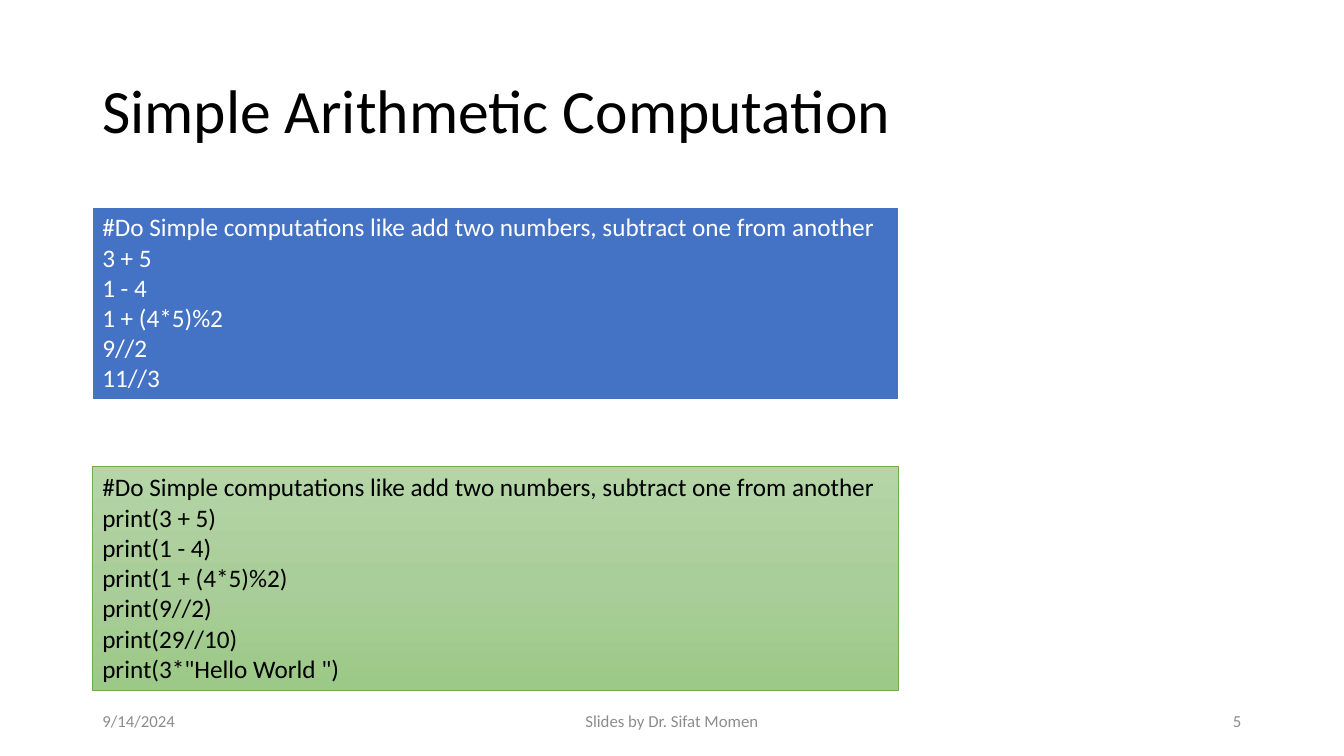
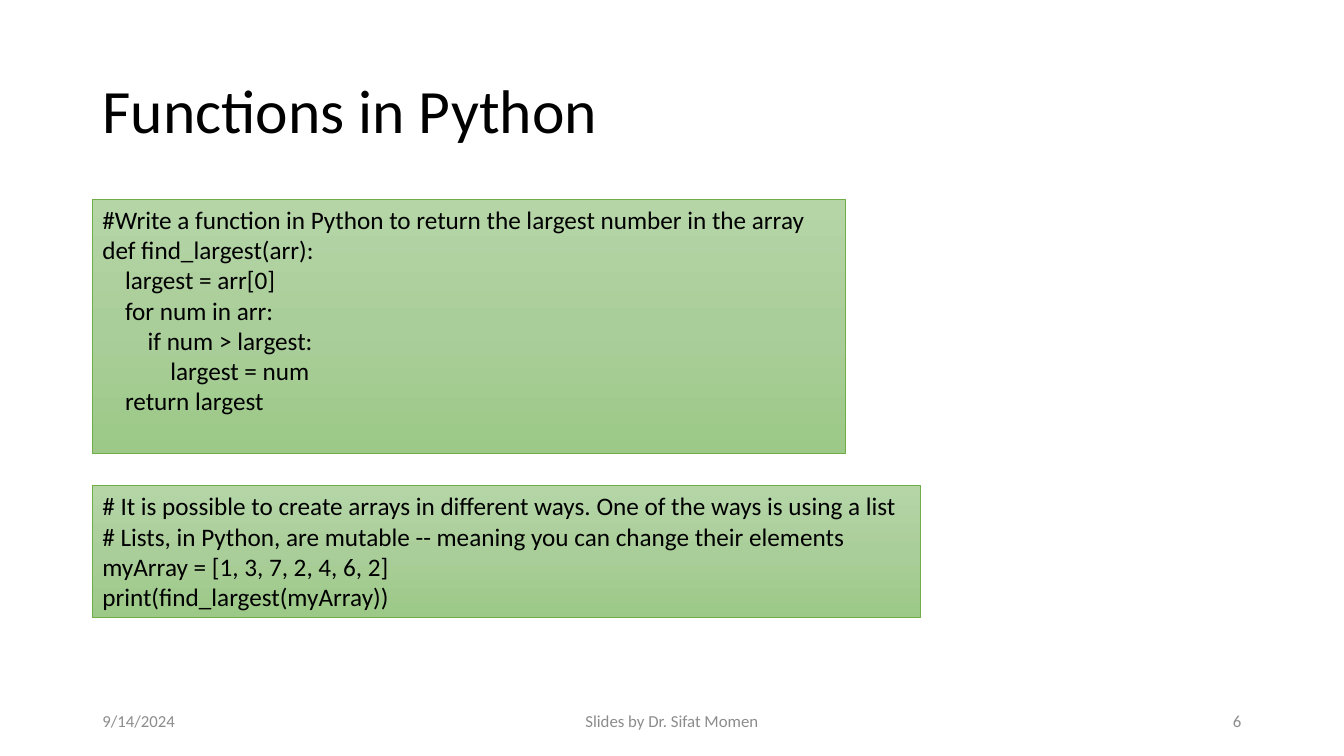
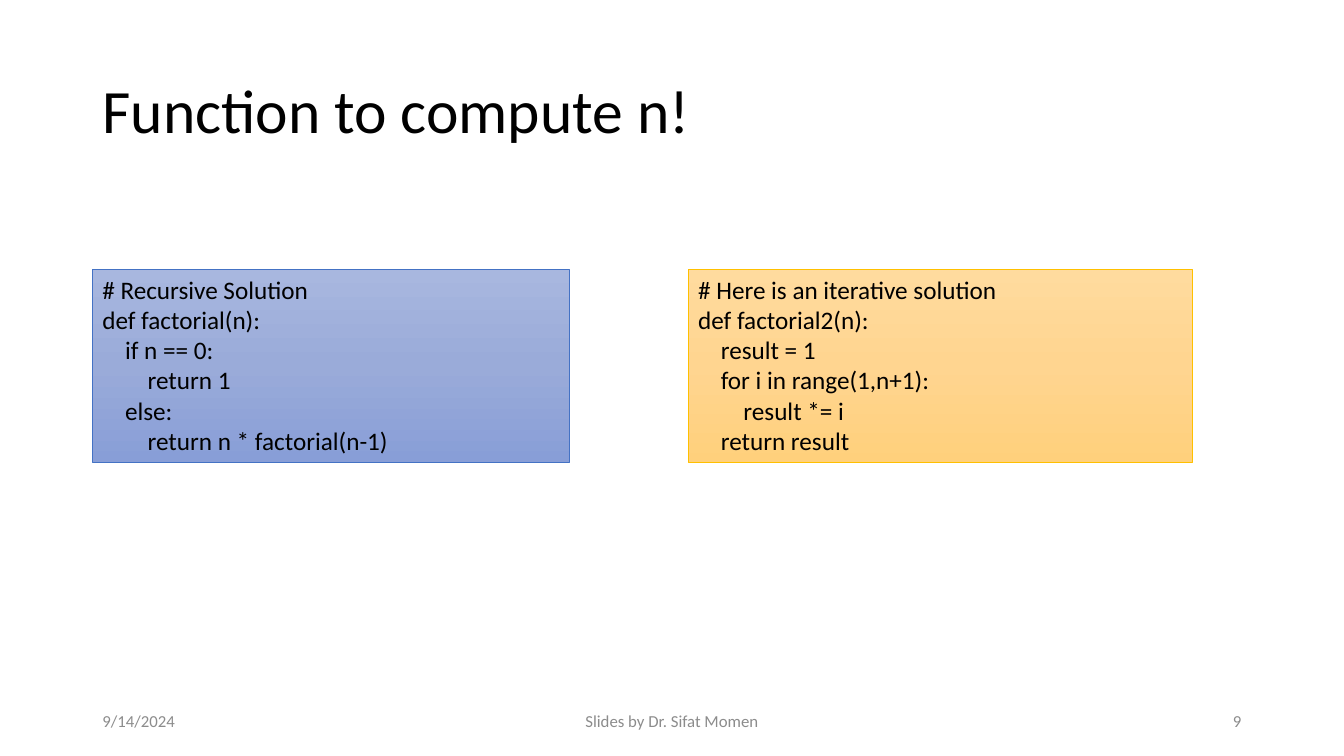
import copy
import pptx
import pptx.util
import pptx.dml.color
import pptx.enum.shapes
import pptx.enum.text
import pptx.oxml.ns

Pt = pptx.util.Pt
ALIGN = pptx.enum.text.PP_ALIGN
ANCHOR = pptx.enum.text.MSO_ANCHOR

FONT = "Calibri"
HEX = {"black": "000000", "white": "FFFFFF", "gray": "8C8C8C",
       "blue": "4472C4", "green": "70AD47", "gold": "FFC000"}
# Box looks: fill stops from top to bottom, line, line width, text
LOOKS = {
    "solid": (["4472C4"], "white", 1.5, "white"),
    "green": (["B5D5A7", "AACE9A", "9CC987"], "green", 0.5, "black"),
    "blue": (["A8B7DF", "9AABD9", "889ED7"], "blue", 0.5, "black"),
    "gold": (["FFDB9E", "FFD590", "FFD07C"], "gold", 0.5, "black"),
}
DATE = "9/14/2024"
CREDIT = "Slides by Dr. Sifat Momen"
EDGE = 66
ROW, PAD, TAB = 21.8, 7.2, 16.2

# Places of the layout's placeholders by index: left, top, width, height
PLACES = {0: (EDGE, 28.8, 828, 104.4),
          10: (EDGE, 500.4, 216, 28.8),
          11: (318, 500.4, 324, 28.8),
          12: (678, 500.4, 216, 28.8)}
SIDES = {10: ALIGN.LEFT, 11: ALIGN.CENTER, 12: ALIGN.RIGHT}

# Each box: look, left, top, width, rows of height, code
SLIDES = [
    ("Simple Arithmetic Computation", "5", [
        ("solid", EDGE, 147.6, 576, 6, """\
#Do Simple computations like add two numbers, subtract one from another
3 + 5
1 - 4
1 + (4*5)%2
9//2
11//3"""),
        ("green", EDGE, 333.4, 576, 7, """\
#Do Simple computations like add two numbers, subtract one from another
print(3 + 5)
print(1 - 4)
print(1 + (4*5)%2)
print(9//2)
print(29//10)
print(3*"Hello World ")"""),
    ]),
    ("Functions in Python", "6", [
        ("green", EDGE, 142.4, 538, 8, """\
#Write a function in Python to return the largest number in the array
def find_largest(arr):
    largest = arr[0]
    for num in arr:
        if num > largest:
            largest = num
    return largest"""),
        ("green", EDGE, 347, 591.4, 4, """\
# It is possible to create arrays in different ways. One of the ways is using a list
# Lists, in Python, are mutable -- meaning you can change their elements
myArray = [1, 3, 7, 2, 4, 6, 2]
print(find_largest(myArray))"""),
    ]),
    ("Function to compute n!", "9", [
        ("blue", EDGE, 192.2, 340.8, 6, """\
# Recursive Solution
def factorial(n):
    if n == 0:
        return 1
    else:
        return n * factorial(n-1)"""),
        ("gold", 491.6, 192.2, 360, 6, """\
# Here is an iterative solution
def factorial2(n):
    result = 1
    for i in range(1,n+1):
        result *= i
    return result"""),
    ]),
]


def rgb(code):
    return pptx.dml.color.RGBColor.from_string(code)


def write(para, text, size, color, side=ALIGN.LEFT):
    para.alignment = side
    run = para.add_run()
    run.text = text
    run.font.name = FONT
    run.font.size = Pt(size)
    run.font.color.rgb = rgb(HEX[color])


def paint(shape, stops):
    """Fill with one colour, or with three from top to bottom."""
    fill = shape.fill
    if len(stops) == 1:
        fill.solid()
        fill.fore_color.rgb = rgb(stops[0])
        return
    fill.gradient()
    fill.gradient_angle = 270
    ramp = shape.element.find(".//" + pptx.oxml.ns.qn("a:gsLst"))
    mid = copy.deepcopy(ramp[0])
    mid.set("pos", "50000")
    ramp.insert(1, mid)
    for stop, code in zip(fill.gradient_stops, stops):
        stop.color.rgb = rgb(code)


def add_code(slide, look, left, top, width, rows, code):
    stops, line, weight, ink = LOOKS[look]
    box = slide.shapes.add_shape(
        pptx.enum.shapes.MSO_SHAPE.RECTANGLE,
        Pt(left), Pt(top), Pt(width), Pt(rows * ROW + PAD))
    box.shadow.inherit = False
    paint(box, stops)
    box.line.color.rgb = rgb(HEX[line])
    box.line.width = Pt(weight)
    frame = box.text_frame
    frame.word_wrap = True
    frame.vertical_anchor = ANCHOR.TOP
    for i, row in enumerate(code.splitlines()):
        para = frame.add_paragraph() if i else frame.paragraphs[0]
        text = row.lstrip()
        write(para, text, 18, ink)
        level = (len(row) - len(text)) // 4
        if level:
            para._p.get_or_add_pPr().set("marL", str(Pt(level * TAB)))


def add_foot(slide, layout, number):
    texts = {10: DATE, 11: CREDIT, 12: number}
    for holder in layout.placeholders:
        idx = holder.placeholder_format.idx
        if idx in texts:
            slide.shapes._spTree.append(copy.deepcopy(holder.element))
            frame = slide.shapes[-1].text_frame
            frame.clear()
            write(frame.paragraphs[0], texts[idx], 12, "gray", SIDES[idx])


def set_layout(layout):
    for holder in layout.placeholders:
        place = PLACES[holder.placeholder_format.idx]
        holder.left, holder.top, holder.width, holder.height = map(Pt, place)
        holder.text_frame.vertical_anchor = ANCHOR.MIDDLE


def main():
    deck = pptx.Presentation()
    deck.slide_width, deck.slide_height = Pt(960), Pt(540)
    layout = deck.slide_layouts[5]
    set_layout(layout)
    for title, number, boxes in SLIDES:
        slide = deck.slides.add_slide(layout)
        para = slide.shapes.title.text_frame.paragraphs[0]
        para.line_spacing = 0.9
        write(para, title, 44, "black")
        add_foot(slide, layout, number)
        for box in boxes:
            add_code(slide, *box)
    deck.save("out.pptx")


if __name__ == "__main__":
    main()
